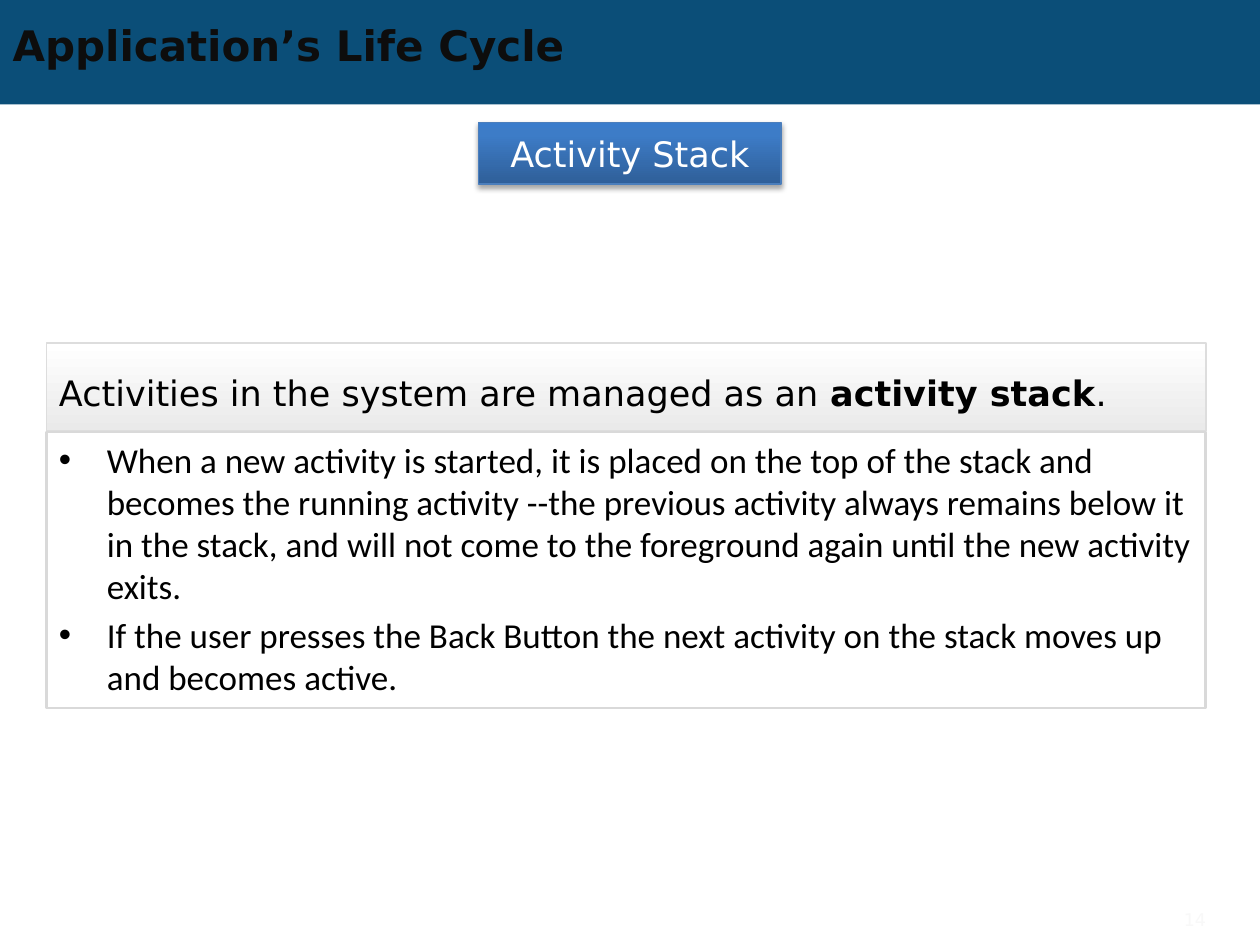
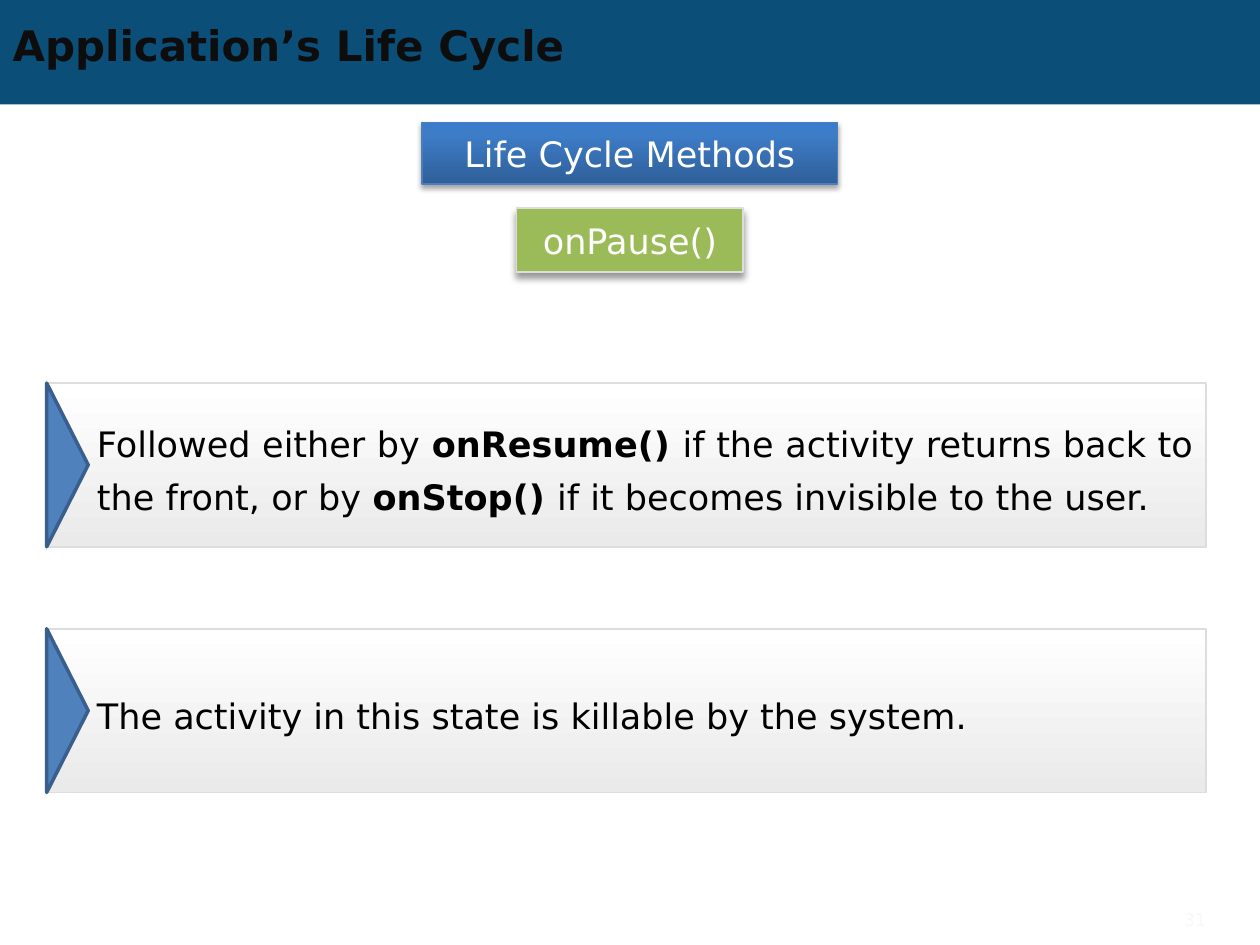
from dataclasses import dataclass

from lxml.etree import SubElement as Sub
from pptx import Presentation
from pptx.dml.color import RGBColor as RGB
from pptx.enum.shapes import MSO_SHAPE as Shape
from pptx.enum.text import MSO_ANCHOR as Anchor, PP_ALIGN as Align
from pptx.oxml.ns import qn
from pptx.util import Inches, Pt


@dataclass(frozen=True)
class Theme:
    # Colours; a tuple holds gradient stops (percent, colour)
    band: str = "0B4E78"
    title: str = "0D0D0D"
    ink: str = "000000"
    white: str = "FFFFFF"
    page: str = "F8F8F8"
    edge: str = "DDDDDD"
    frame: str = "D9D9D9"
    badge_edge: str = "4B7EBC"
    green: str = "9BBB59"
    arrow: str = "4F81BD"
    arrow_edge: str = "3A5F8C"
    badge: tuple = ((0, "2F5F99"), (80, "3D7CC7"), (100, "3A7CCB"))
    panel: tuple = ((0, "FFFFFF"), (100, "EAEAEA"))
    # Type
    sans: str = "DejaVu Sans"
    body: str = "Calibri"
    head_size: int = 24
    text_size: int = 20
    page_size: int = 10
    leading: int = 30


T = Theme()
WIDE, TALL = 10, 7.5
LEFT, SPAN = 0.37, 9.2


def put(obj, props):
    for key, val in props.items():
        setattr(obj, key, val)


def place(shape, box):
    put(shape, dict(zip(("left", "top", "width", "height"), map(Inches, box))))


def stop_fill(shape, stops, angle):
    """Fill with a gradient; angle runs counter-clockwise."""
    shape.fill.gradient()
    shape.fill.gradient_angle = angle
    rows = shape.element.spPr.find(qn("a:gradFill")).find(qn("a:gsLst"))
    for old in list(rows):
        rows.remove(old)
    for pos, color in stops:
        stop = Sub(rows, qn("a:gs"), pos=str(pos * 1000))
        Sub(stop, qn("a:srgbClr"), val=color)


def cast(shape, alpha, blur, dist):
    """Drop a black shadow straight down."""
    effects = shape.element.spPr.find(qn("a:effectLst"))
    drop = Sub(effects, qn("a:outerShdw"), blurRad=str(Pt(blur)),
               dist=str(Pt(dist)), dir="5400000", rotWithShape="0")
    color = Sub(drop, qn("a:srgbClr"), val=T.ink)
    Sub(color, qn("a:alpha"), val=str(alpha * 1000))


def draw(shapes, box, fill=None, line=None, kind=Shape.RECTANGLE, angle=270):
    shape = shapes.add_shape(kind, *map(Inches, box))
    shape.shadow.inherit = False
    if fill is None:
        shape.fill.background()
    elif isinstance(fill, tuple):
        stop_fill(shape, fill, angle)
    else:
        shape.fill.solid()
        shape.fill.fore_color.rgb = RGB.from_string(fill)
    if line:
        shape.line.color.rgb = RGB.from_string(line[0])
        shape.line.width = Pt(line[1])
    else:
        shape.line.fill.background()
    return shape


def write(para, text, color=T.ink, size=T.text_size, face=T.sans, bold=False):
    """Fill a paragraph; parts between asterisks are bold."""
    for i, part in enumerate(text.split("*")):
        if part:
            run = para.add_run()
            run.text = part
            put(run.font, dict(name=face, size=Pt(size), bold=bold or i % 2 == 1))
            run.font.color.rgb = RGB.from_string(color)


def inset(frame, left=0.1, top=0.05, right=0.1, base=0.05):
    put(frame, dict(margin_left=Inches(left), margin_top=Inches(top),
                    margin_right=Inches(right), margin_bottom=Inches(base),
                    word_wrap=True, vertical_anchor=Anchor.MIDDLE))


# Band shared through the layout
def add_band(layout, slide):
    band = draw(slide.shapes, (0, 0, WIDE, 0.83), T.band)
    layout.shapes.element.insert(2, band.element)


# Title and page number
def add_head(slide, page):
    title = slide.shapes.title
    place(title, (0, 0.14, 9, 0.43))
    inset(title.text_frame)
    para = title.text_frame.paragraphs[0]
    para.alignment = Align.LEFT
    write(para, "Application’s Life Cycle", T.title, T.head_size, bold=True)
    note = slide.shapes.add_textbox(*map(Inches, (8.67, 7.15, 1, 0.3)))
    inset(note.text_frame)
    para = note.text_frame.paragraphs[0]
    para.alignment = Align.RIGHT
    write(para, page, T.page, T.page_size)


# Centred label with a shadow
def add_label(slide, text, top, size, fill, line, shade):
    wide, tall = size
    box = ((WIDE - wide) / 2, top, wide, tall)
    label = draw(slide.shapes, box, fill, line, angle=90)
    cast(label, *shade)
    inset(label.text_frame, 0, 0, 0, 0)
    para = label.text_frame.paragraphs[0]
    para.alignment = Align.CENTER
    write(para, text, T.white)


def add_topic(slide, text, wide):
    add_label(slide, text, 0.97, (wide, 0.49), T.badge,
              (T.badge_edge, 0.75), (35, 3.1, 1.8))


# Grey panel with one justified statement
def add_panel(shapes, box, text, pad):
    panel = draw(shapes, box, T.panel, (T.edge, 1))
    inset(panel.text_frame, *pad)
    para = panel.text_frame.paragraphs[0]
    put(para, dict(alignment=Align.JUSTIFY, line_spacing=Pt(T.leading)))
    write(para, text)


# Framed bullet list
def add_list(slide, box, items):
    frame = draw(slide.shapes, box, line=(T.frame, 1.5)).text_frame
    inset(frame)
    frame.vertical_anchor = Anchor.TOP
    for i, item in enumerate(items):
        para = frame.add_paragraph() if i else frame.paragraphs[0]
        para.alignment = Align.LEFT
        if i:
            para.space_before = Pt(T.text_size * 0.2)
        props = para._p.get_or_add_pPr()
        props.set("marL", str(Inches(0.38)))
        props.set("indent", str(-Inches(0.38)))
        Sub(props, qn("a:buFont"), typeface="Arial")
        Sub(props, qn("a:buChar"), char="•")
        write(para, item, face=T.body)


# Panel with an arrow on its left side
def add_card(slide, box, text):
    group = slide.shapes.add_group_shape()
    left, top, _, tall = box
    add_panel(group.shapes, box, text, (0.4, 0, 0.1, 0))
    deep = 0.33
    spot = (left + (deep - tall) / 2, top + (tall - deep) / 2, tall, deep)
    arrow = draw(group.shapes, spot, T.arrow, (T.arrow_edge, 2),
                 Shape.ISOSCELES_TRIANGLE)
    arrow.rotation = 90


def stack_slide(slide):
    add_head(slide, "14")
    add_topic(slide, "Activity Stack", 2.4)
    add_panel(slide.shapes, (LEFT, 2.72, SPAN, 0.7),
              "Activities in the system are managed as an *activity stack*.",
              (0.1, 0.05, 0.1, 0.05))
    add_list(slide, (LEFT, 3.43, SPAN, 2.19), (
        "When a new activity is started, it is placed on the top of the stack "
        "and becomes the running activity --the previous activity always "
        "remains below it in the stack, and will not come to the foreground "
        "again until the new activity exits.",
        "If the user presses the Back Button the next activity on the stack "
        "moves up and becomes active."))


def pause_slide(slide):
    add_head(slide, "31")
    add_topic(slide, "Life Cycle Methods", 3.3)
    add_label(slide, "onPause()", 1.65, (1.8, 0.51), T.green,
              (T.edge, 1), (40, 4, 3))
    cards = ("Followed either by *onResume() *if the activity returns back to "
             "the front, or by *onStop() *if it becomes invisible to the user.",
             "The activity in this state is killable by the system.")
    for i, text in enumerate(cards):
        add_card(slide, (LEFT, 3.04 + i * 1.95, SPAN, 1.3), text)


def main():
    deck = Presentation()
    put(deck, dict(slide_width=Inches(WIDE), slide_height=Inches(TALL)))
    layout = deck.slide_layouts[5]
    first, second = (deck.slides.add_slide(layout) for _ in range(2))
    add_band(layout, first)
    stack_slide(first)
    pause_slide(second)
    deck.save("out.pptx")


if __name__ == "__main__":
    main()
